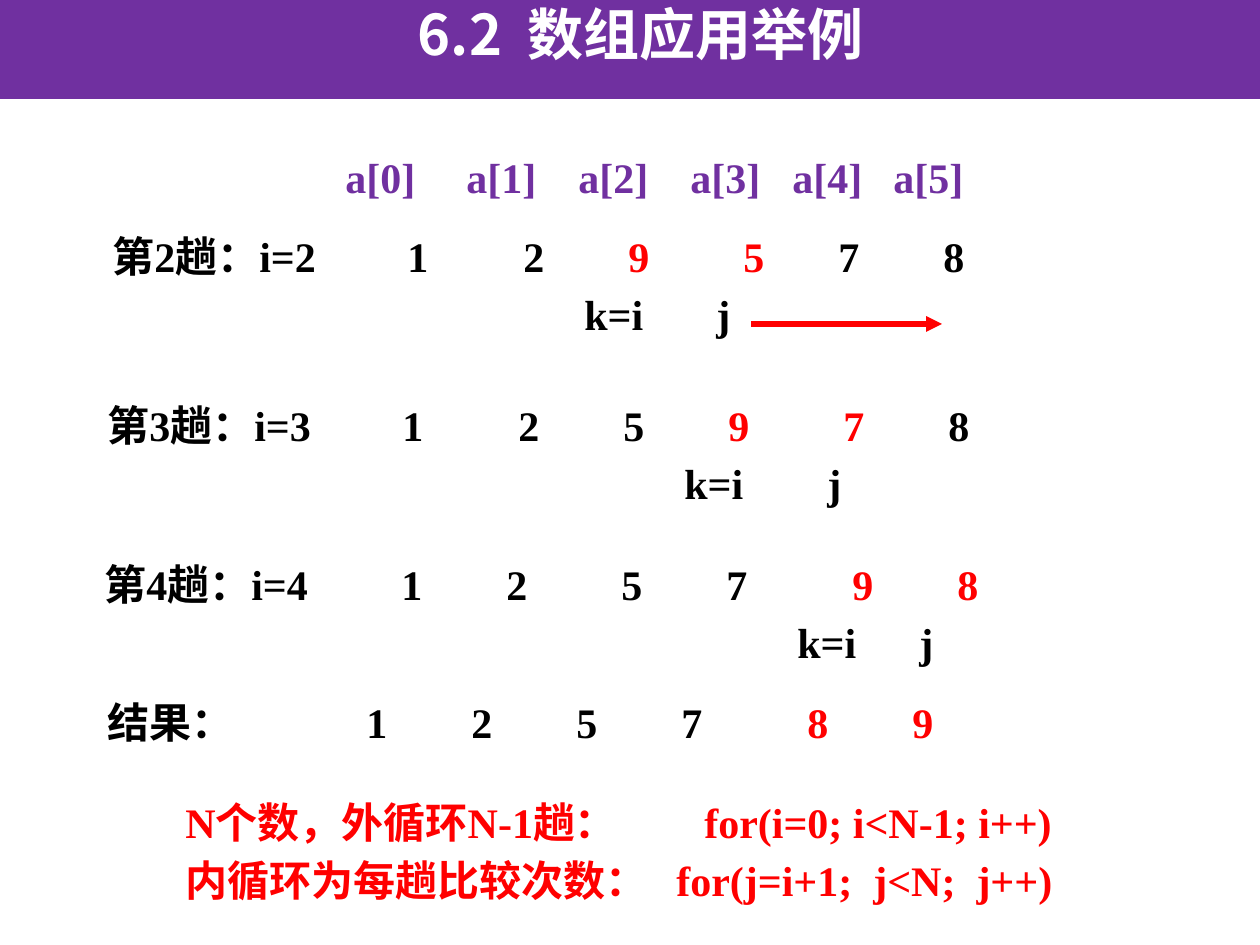
"""Build a slide that traces the passes of a selection sort on an array."""
from lxml import etree
from pptx import Presentation
from pptx import util as u
from pptx.dml.color import RGBColor
from pptx.enum import shapes, text
from pptx.oxml.ns import qn

SCALE = 914400 / 126
COLORS = {"purple": "7030A0", "red": "FF0000", "black": "000000", "white": "FFFFFF"}


def px(n):
    return u.Emu(round(n * SCALE))


def rgb(name):
    return RGBColor.from_string(COLORS[name])


class Deck:
    font, size, inset = "Times New Roman", 24, 13

    def __init__(self, slide):
        self.s = slide

    def style(self, p, font, size):
        p.font.name, p.font.size, p.font.bold = font, u.Pt(size), True

    def run(self, p, content, color):
        r = p.add_run()
        r.text = content
        r.font.color.rgb = rgb(color)

    def banner(self, x, y, w, h, content):
        sp = self.s.shapes.add_shape(shapes.MSO_SHAPE.RECTANGLE, px(x), px(y), px(w), px(h))
        sp.shadow.inherit = False
        sp.fill.solid()
        sp.fill.fore_color.rgb = rgb("purple")
        sp.line.fill.background()
        tf = sp.text_frame
        tf.vertical_anchor = text.MSO_ANCHOR.TOP
        tf.margin_top = tf.margin_bottom = 0
        tf.margin_left, tf.margin_right = px(38), px(13)
        p = tf.paragraphs[0]
        p.alignment = text.PP_ALIGN.CENTER
        self.style(p, "Noto Sans CJK SC", 32)
        self.run(p, content, "white")

    def tabs(self, p, stops):
        pPr = p._p.get_or_add_pPr()
        before = etree.Element(qn("a:spcBef"))
        etree.SubElement(before, qn("a:spcPct"), val="20000")
        pPr.insert(0, before)
        if stops:
            tab_list = etree.Element(qn("a:tabLst"))
            for stop in stops:
                etree.SubElement(tab_list, qn("a:tab"), pos=str(px(stop)), algn="l")
            pPr.insert(1, tab_list)

    def rows(self, x, y, w, h, lines, color="black", marked=()):
        tf = self.s.shapes.add_textbox(px(x), px(y), px(w), px(h)).text_frame
        tf.word_wrap = True
        for n, (label, cells) in enumerate(lines):
            p = tf.add_paragraph() if n else tf.paragraphs[0]
            self.style(p, self.font, self.size)
            self.tabs(p, [left - x - self.inset for left, _ in cells])
            if label:
                self.run(p, label, color)
            for _, content in cells:
                self.run(p, "\t" + content, "red" if content in marked else color)

    def arrow(self, x1, y1, x2, y2):
        c = self.s.shapes.add_connector(
            shapes.MSO_CONNECTOR.STRAIGHT, px(x1), px(y1), px(x2), px(y2))
        c.line.color.rgb = rgb("red")
        c.line.width = u.Pt(3)
        etree.SubElement(c.line._get_or_add_ln(), qn("a:tailEnd"), type="triangle")
        etree.SubElement(c._element.spPr, qn("a:effectLst"))


PASSES = [
    (100, 224, 139, "第2趟：i=2", "129578", "95",
     (408, 524, 629, 744, 839, 944), (585, 717)),
    (95, 393, 149, "第3趟：i=3", "125978", "97",
     (403, 519, 624, 729, 844, 949), (685, 828)),
    (92, 552, 149, "第4趟：i=4", "125798", "98",
     (402, 507, 622, 727, 853, 958), (798, 920)),
]


def main():
    prs = Presentation()
    prs.slide_width, prs.slide_height = px(1260), px(945)
    d = Deck(prs.slides.add_slide(prs.slide_layouts[6]))

    heads = [(left, f"a[{n}]") for n, left in enumerate((467, 579, 691, 793, 894), 1)]
    d.rows(333, 145, 694, 69, [("a[0]", heads)], "purple")
    for x, y, h, label, digits, marked, columns, pointers in PASSES:
        lines = [(label, list(zip(columns, digits))),
                 ("", list(zip(pointers, ("k=i", "j"))))]
        d.rows(x, y, 1007, h, lines, marked=marked)
    d.arrow(751, 324, 942, 324)
    result = list(zip((367, 472, 577, 682, 808, 913), "125789"))
    d.rows(95, 690, 1007, 74, [("结果：", result)], marked="89")
    d.rows(173, 790, 929, 129, [
        ("N个数，外循环N-1趟：", [(705, "for(i=0; i<N-1; i++)")]),
        ("内循环为每趟比较次数：", [(677, "for(j=i+1;  j<N;  j++)")]),
    ], "red")
    d.banner(-4, 0, 1265, 99, "6.2  数组应用举例")
    prs.save("out.pptx")


if __name__ == "__main__":
    main()
